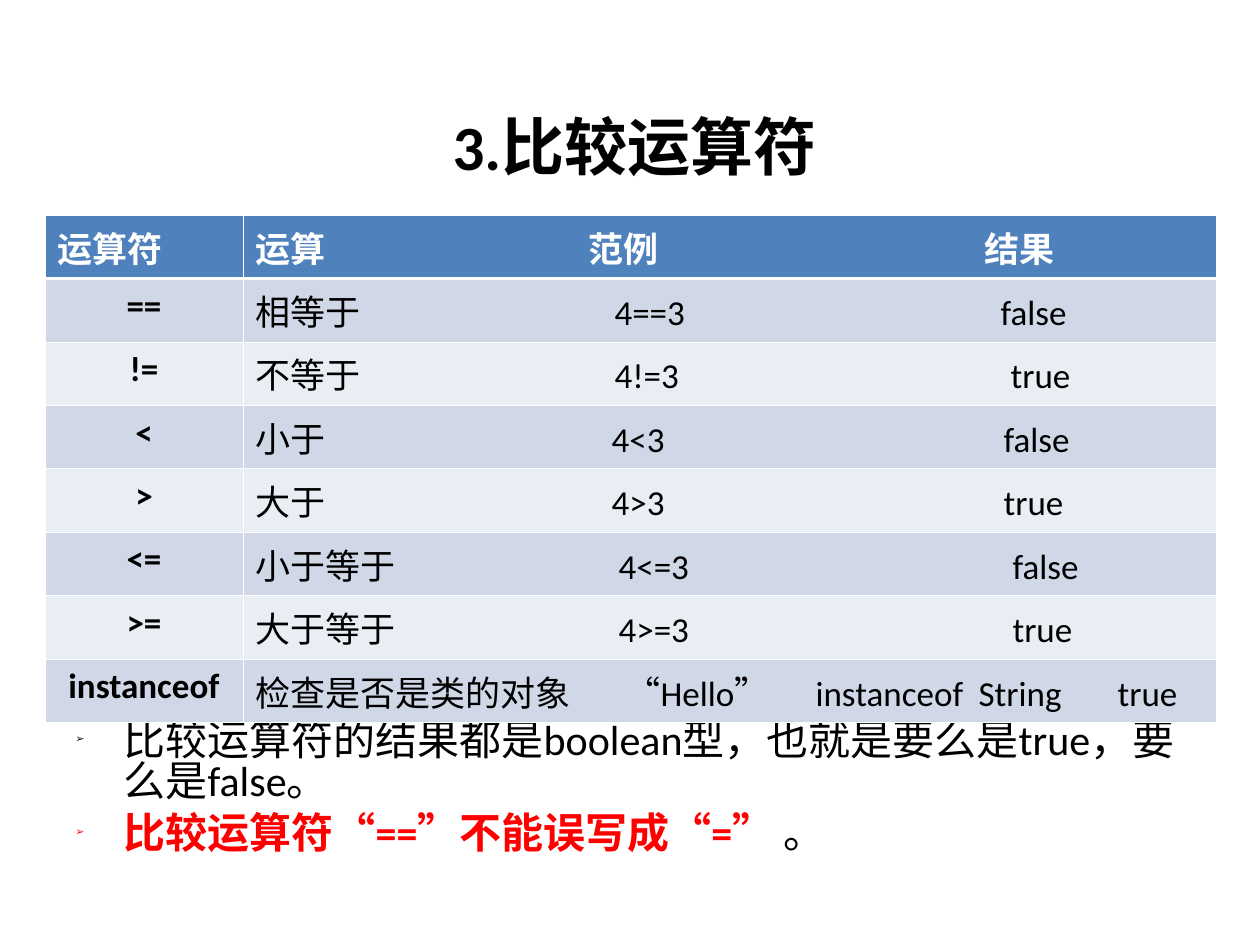
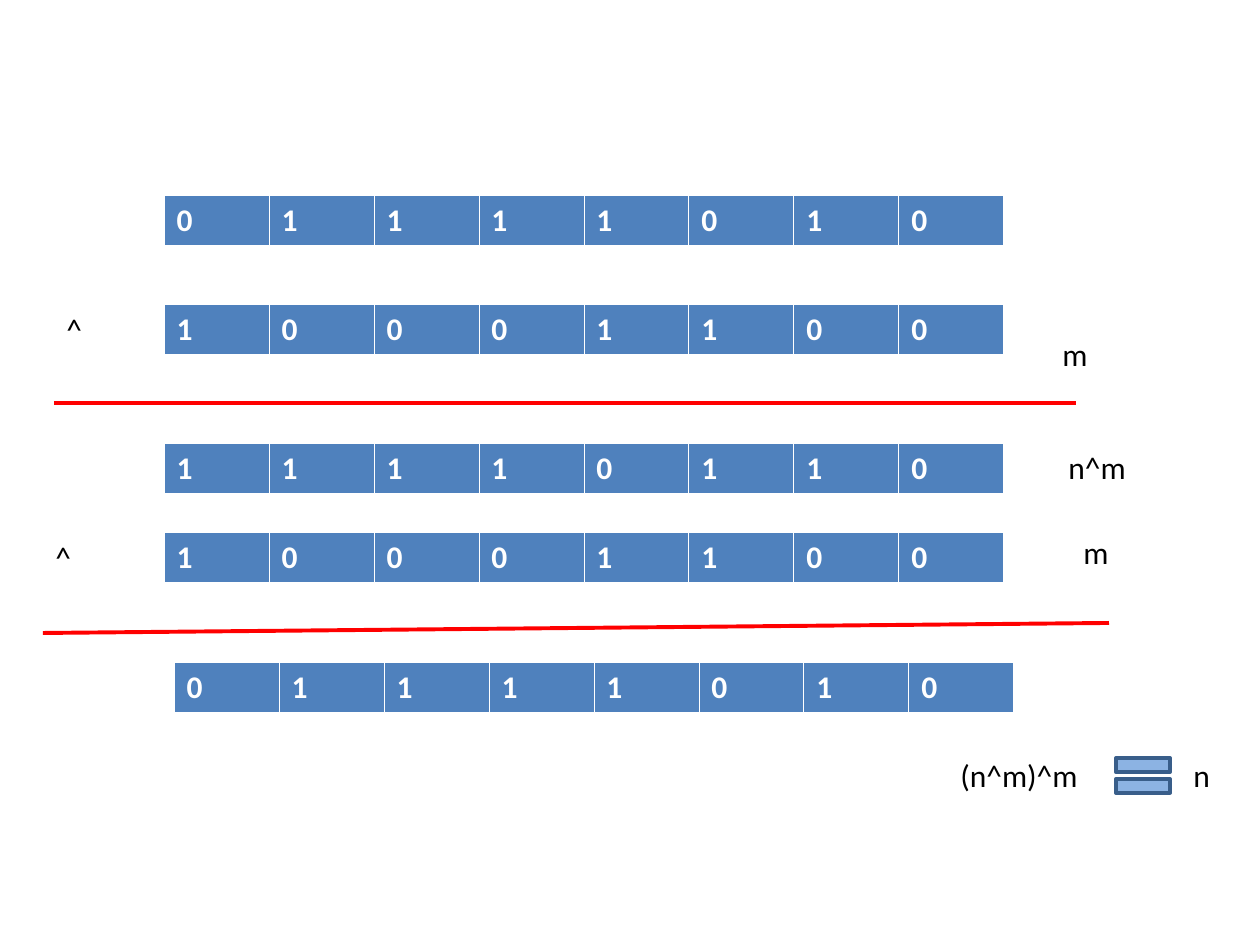
from dataclasses import dataclass

from lxml import etree
from pptx import Presentation
from pptx.dml.color import RGBColor
from pptx.enum import shapes, text
from pptx.oxml import ns
from pptx.util import Emu, Pt

PX_PER_INCH = 126


@dataclass(frozen=True)
class Theme:
    font: str = "Calibri"
    header_font: str = "Times New Roman"
    ink: str = "000000"
    paper: str = "FFFFFF"
    accent: str = "4F81BD"
    bands: tuple[str, str] = ("D0D8E8", "E9EDF4")
    alert: str = "FF0000"
    equal_fill: str = "8CB3E3"
    equal_line: str = "395E8A"
    title_size: float = 36
    body_size: float = 24
    table_size: float = 20
    bit_size: float = 18
    thin: float = 0.45
    thick: float = 1.47
    rule: float = 2.25


@dataclass(frozen=True)
class Box:
    left: int
    top: int
    width: int
    height: int

    def emu(self) -> tuple[Emu, Emu, Emu, Emu]:
        return px(self.left), px(self.top), px(self.width), px(self.height)


@dataclass(frozen=True)
class Operator:
    symbol: str
    details: tuple[str, ...]
    stops: tuple[int, ...]


@dataclass(frozen=True)
class Bits:
    left: int
    top: int
    digits: str


@dataclass(frozen=True)
class Label:
    words: str
    box: Box


@dataclass(frozen=True)
class Rule:
    start: tuple[int, int]
    end: tuple[int, int]


THEME = Theme()

OPERATORS = (
    Operator("运算符", ("运算", "范例", "结果"), (333, 729)),
    Operator("==", ("相等于", "4==3", "false"), (359, 745)),
    Operator("!=", ("不等于", "4!=3", "true"), (359, 755)),
    Operator("<", ("小于", "4<3", "false"), (356, 748)),
    Operator(">", ("大于", "4>3", "true"), (356, 748)),
    Operator("<=", ("小于等于", "4<=3", "false"), (363, 757)),
    Operator(">=", ("大于等于", "4>=3", "true"), (363, 757)),
    Operator("instanceof", ("检查是否是类的对象", "“Hello”", "instanceof", "String", "true"),
             (370, 560, 723, 862)),
)

BITS = (
    Bits(164, 195, "01111010"),
    Bits(164, 304, "10001100"),
    Bits(164, 443, "11110110"),
    Bits(164, 532, "10001100"),
    Bits(174, 662, "01111010"),
)

LABELS = (
    Label("^", Box(54, 304, 79, 50)),
    Label("m", Box(1050, 329, 59, 50)),
    Label("n^m", Box(1056, 442, 89, 50)),
    Label("^", Box(43, 532, 79, 50)),
    Label("m", Box(1071, 527, 59, 50)),
    Label("(n^m)^m", Box(948, 750, 163, 50)),
    Label("n", Box(1181, 750, 59, 50)),
)

RULES = (Rule((54, 403), (1076, 403)), Rule((43, 633), (1109, 623)))


def px(length: int) -> Emu:
    return Emu(round(length * 914400 / PX_PER_INCH))


def rgb(color: str) -> RGBColor:
    return RGBColor.from_string(color)


def child(parent, tag: str, **attributes):
    return etree.SubElement(parent, ns.qn(tag), {k: str(v) for k, v in attributes.items()})


def set_font(font, size: float, color: str, bold: bool = False, name: str = THEME.font) -> None:
    font.name, font.size, font.bold = name, Pt(size), bold
    font.color.rgb = rgb(color)


def place(shape, box: Box) -> None:
    shape.left, shape.top, shape.width, shape.height = box.emu()


def set_cell(cell, words: str, fill: str, bottom: float) -> None:
    properties = cell._tc.get_or_add_tcPr()
    for side, width in (("L", THEME.thin), ("R", THEME.thin), ("T", THEME.thin), ("B", bottom)):
        edge = child(properties, f"a:ln{side}", w=Pt(width))
        child(child(edge, "a:solidFill"), "a:srgbClr", val=THEME.paper)
    cell.fill.solid()
    cell.fill.fore_color.rgb = rgb(fill)
    cell.text_frame.text = words


def add_tab_stops(paragraph, stops: tuple[int, ...]) -> None:
    tab_list = child(paragraph._p.get_or_add_pPr(), "a:tabLst")
    for stop in stops:
        child(tab_list, "a:tab", pos=px(stop), algn="l")


def add_bullet(paragraph, color: str) -> None:
    properties = paragraph._p.get_or_add_pPr()
    properties.set("marL", str(px(48)))
    properties.set("indent", str(px(-48)))
    child(child(properties, "a:buClr"), "a:srgbClr", val=color)
    child(properties, "a:buSzPct", val=25000)
    child(properties, "a:buChar", char="➢")


def add_operator_table(slide) -> None:
    table = slide.shapes.add_table(len(OPERATORS), 2, *Box(45, 215, 1171, 450).emu()).table
    table.columns[0].width, table.columns[1].width = px(198), px(973)
    for index, operator in enumerate(OPERATORS):
        header = index == 0
        fill = THEME.accent if header else THEME.bands[(index - 1) % 2]
        color = THEME.paper if header else THEME.ink
        name = THEME.header_font if header else THEME.font
        bottom = THEME.thick if header else THEME.thin
        symbol, details = table.cell(index, 0), table.cell(index, 1)
        set_cell(symbol, operator.symbol, fill, bottom)
        set_cell(details, "\t".join(operator.details), fill, bottom)
        symbol_line, details_line = (c.text_frame.paragraphs[0] for c in (symbol, details))
        if not header:
            symbol_line.alignment = text.PP_ALIGN.CENTER
        add_tab_stops(details_line, operator.stops)
        set_font(symbol_line.font, THEME.table_size, color, True, name)
        set_font(details_line.font, THEME.table_size, color, header, name)


def add_bits(slide, bits: Bits) -> None:
    box = Box(bits.left, bits.top, 105 * len(bits.digits), 50)
    table = slide.shapes.add_table(1, len(bits.digits), *box.emu()).table
    for cell, digit in zip(table.rows[0].cells, bits.digits):
        set_cell(cell, digit, THEME.accent, THEME.thick)
        set_font(cell.text_frame.paragraphs[0].font, THEME.bit_size, THEME.paper, True)


def add_label(slide, label: Label) -> None:
    frame = slide.shapes.add_textbox(*label.box.emu()).text_frame
    frame.word_wrap = True
    frame.text = label.words
    set_font(frame.paragraphs[0].font, THEME.bit_size, THEME.ink)


def add_rule(slide, rule: Rule) -> None:
    ends = [px(value) for value in rule.start + rule.end]
    line = slide.shapes.add_connector(shapes.MSO_CONNECTOR.STRAIGHT, *ends)
    line.line.color.rgb = rgb(THEME.alert)
    line.line.width = Pt(THEME.rule)
    child(line._element.spPr, "a:effectLst")


def add_equal_sign(slide) -> None:
    equal = slide.shapes.add_shape(shapes.MSO_SHAPE.MATH_EQUAL, *Box(1106, 746, 74, 59).emu())
    equal.shadow.inherit = False
    equal.fill.solid()
    equal.fill.fore_color.rgb = rgb(THEME.equal_fill)
    equal.line.color.rgb = rgb(THEME.equal_line)
    equal.line.width = Pt(2)


def add_notes_on_results(body) -> None:
    place(body, Box(63, 716, 1134, 178))
    frame = body.text_frame
    frame.auto_size = text.MSO_AUTO_SIZE.NONE
    result, warning = frame.paragraphs[0], frame.add_paragraph()
    for paragraph, color, before in ((result, THEME.ink, 0), (warning, THEME.alert, 6)):
        add_bullet(paragraph, color)
        paragraph.line_spacing = 0.82
        paragraph.space_before = Pt(before)
    result.add_run().text = "比较运算符的结果都是boolean型，也就是要么是true，要么是false。"
    set_font(result.font, THEME.body_size, THEME.ink)
    for words, color, bold in (("比较运算符“==”不能误写成“=” ", THEME.alert, True),
                               ("。", THEME.ink, False)):
        run = warning.add_run()
        run.text = words
        set_font(run.font, THEME.body_size, color, bold)


def build_comparison(deck) -> None:
    slide = deck.slides.add_slide(deck.slide_layouts[1])
    title = slide.shapes.title
    place(title, Box(302, 86, 665, 118))
    title.text_frame.text = "3.比较运算符"
    heading = title.text_frame.paragraphs[0]
    heading.alignment = text.PP_ALIGN.CENTER
    set_font(heading.font, THEME.title_size, THEME.ink, True)
    add_notes_on_results(slide.placeholders[1])
    add_operator_table(slide)


def build_xor(deck) -> None:
    slide = deck.slides.add_slide(deck.slide_layouts[6])
    for bits in BITS:
        add_bits(slide, bits)
    for label in LABELS:
        add_label(slide, label)
    for rule in RULES:
        add_rule(slide, rule)
    add_equal_sign(slide)


def main() -> None:
    deck = Presentation()
    deck.slide_width, deck.slide_height = px(1260), px(945)
    build_comparison(deck)
    build_xor(deck)
    deck.save("out.pptx")


if __name__ == "__main__":
    main()
